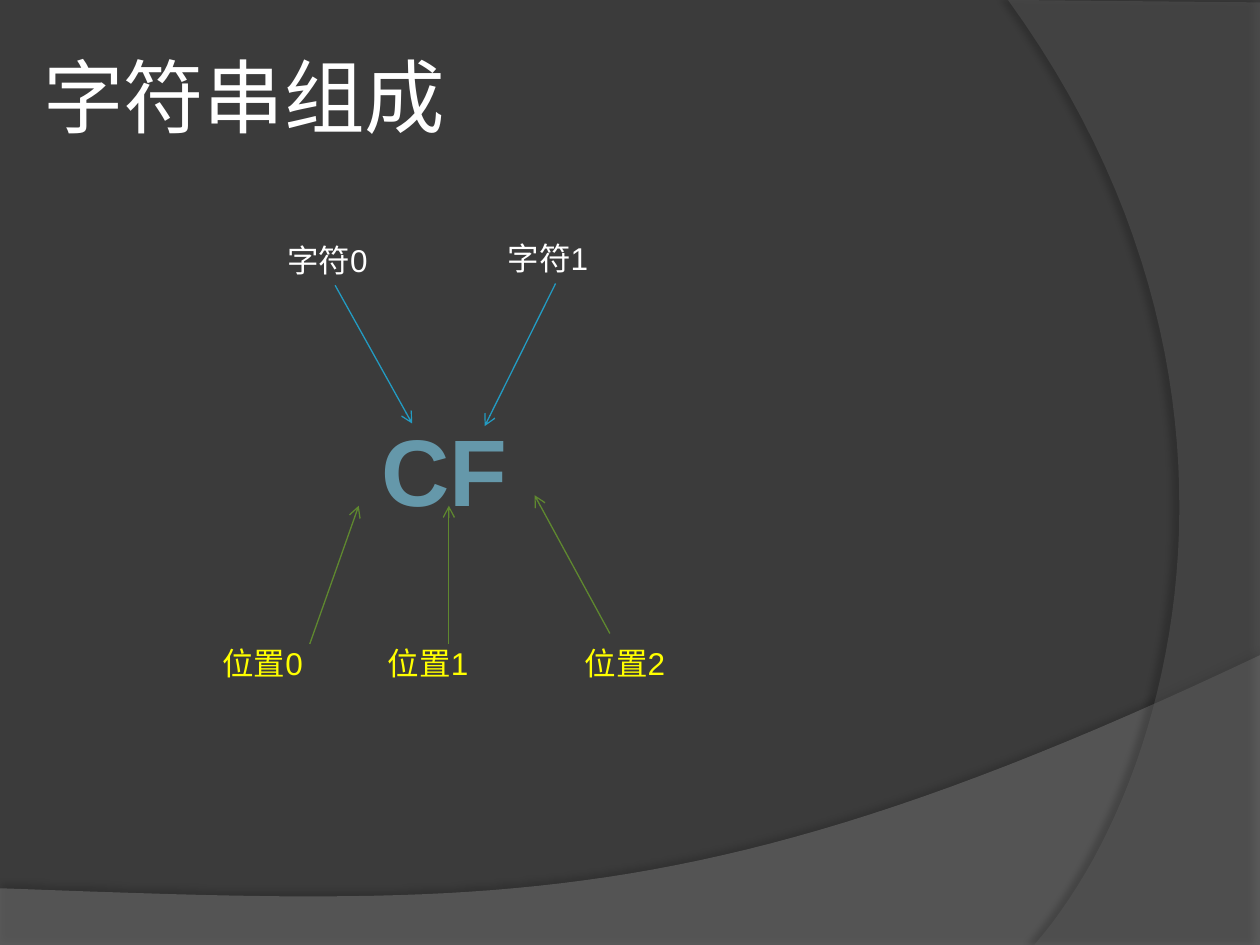
from lxml import etree
from pptx import Presentation
from pptx.dml.color import RGBColor
from pptx.enum import shapes, text
from pptx.oxml import ns
from pptx.util import Pt

WIDE, HIGH = 720, 540
WHITE, YELLOW, BLUE, GREEN = "FFFFFF", "FFFF00", "239BC2", "5F882F"

CHARS = [
    ("字符0", (157, 134), (235.5, 242)),
    ("字符1", (283, 133), (277, 243.5)),
]
SPOTS = [
    ("位置0", 120, (177, 368), (205, 289)),
    ("位置1", 214.5, (256.5, 368), (256.5, 289)),
    ("位置2", 327, (348.5, 362), (305.5, 283)),
]
WAVES = [
    dict(head=[(0, 507.6), (0, 541), (WIDE, 541), (WIDE, 374.4)],
         curve=[(402.5, 525), (281.5, 517.7), (0, 507.6)],
         color="7F7F7F", alpha=45, dark=35, dist=3.5, turn=270),
    dict(head=[(WIDE, 1.4), (WIDE, HIGH), (591, HIGH)],
         curve=[(673.2, 445.7), (733, 216), (576, 0)],
         color="5E5E5E", alpha=40, dark=45, dist=4, turn=180),
]


def rgb(code):
    return RGBColor.from_string(code)


def node(root, tag, **attrs):
    return etree.SubElement(root, ns.qn("a:" + tag),
                            {key: str(val) for key, val in attrs.items()})


def write(shape, words, size=18, font="Arial", color=WHITE, bold=False,
          align=text.PP_ALIGN.LEFT, wrap=True, fit=text.MSO_AUTO_SIZE.SHAPE_TO_FIT_TEXT):
    frame = shape.text_frame
    frame.word_wrap = wrap
    frame.auto_size = fit
    para = frame.paragraphs[0]
    para.alignment = align
    run = para.add_run()
    run.text = words
    run.font.size = Pt(size)
    run.font.name = font
    run.font.bold = bold
    run.font.color.rgb = rgb(color)
    node(run.font._element, "ea", typeface=font)
    return shape


def label(slide, words, left, top, wide=69, high=29, **style):
    box = slide.shapes.add_textbox(Pt(left), Pt(top), Pt(wide), Pt(high))
    return write(box, words, **style)


def arrow(slide, start, end, color):
    line = slide.shapes.add_connector(
        shapes.MSO_CONNECTOR.STRAIGHT, *[Pt(val) for val in start + end])
    line.line.color.rgb = rgb(color)
    line.line.width = Pt(0.75)
    node(line.line._get_or_add_ln(), "tailEnd", type="arrow")
    node(line._element.spPr, "effectLst")
    return line


def bend(start, one, two, end, steps=48):
    for step in range(1, steps + 1):
        t = step / steps
        yield tuple((1 - t) ** 3 * a + 3 * t * (1 - t) ** 2 * b
                    + 3 * t * t * (1 - t) * c + t ** 3 * d
                    for a, b, c, d in zip(start, one, two, end))


def wave(slide, head, curve, color, alpha, dark, dist, turn):
    spots = [(Pt(x), Pt(y)) for x, y in head + list(bend(head[-1], *curve))]
    form = slide.shapes.build_freeform(*spots[0])
    form.add_line_segments(spots[1:], close=True)
    shape = form.convert_to_shape()
    shape.fill.solid()
    shape.fill.fore_color.rgb = rgb(color)
    shape.line.fill.background()
    props = shape._element.spPr
    node(props.find(".//" + ns.qn("a:solidFill"))[0], "alpha", val=alpha * 1000)
    shade = node(node(props, "effectLst"), "outerShdw", blurRad=Pt(4),
                 dist=Pt(dist), dir=turn * 60000, algn="ctr", rotWithShape=0)
    node(node(shade, "srgbClr", val="000000"), "alpha", val=dark * 1000)


def main():
    deck = Presentation()
    deck.slide_width, deck.slide_height = Pt(WIDE), Pt(HIGH)
    slide = deck.slides.add_slide(deck.slide_layouts[5])
    slide.background.fill.solid()
    slide.background.fill.fore_color.rgb = rgb("3B3B3B")

    for item in WAVES:
        wave(slide, **item)

    title = slide.shapes.title
    slide.shapes._spTree.append(title._element)
    title.left, title.top, title.width, title.height = Pt(21), Pt(9.5), Pt(588), Pt(90)
    write(title, "字符串组成", size=46, font="Noto Sans", fit=text.MSO_AUTO_SIZE.NONE)
    frame = title.text_frame
    frame.vertical_anchor = text.MSO_ANCHOR.MIDDLE
    frame.margin_left = frame.margin_right = Pt(3.6)
    frame.margin_top = frame.margin_bottom = Pt(3.6)

    label(slide, "CF", 210.5, 232, 87, 72.5, size=54, color="6598AA", bold=True,
          align=text.PP_ALIGN.CENTER, wrap=False)
    for words, left, start, end in SPOTS:
        arrow(slide, start, end, GREEN)
        label(slide, words, left, 364.5, wide=70, color=YELLOW)
    for words, place, end in CHARS:
        box = label(slide, words, *place)
        arrow(slide, place, end, BLUE).begin_connect(box, 2)

    deck.save("out.pptx")


if __name__ == "__main__":
    main()
